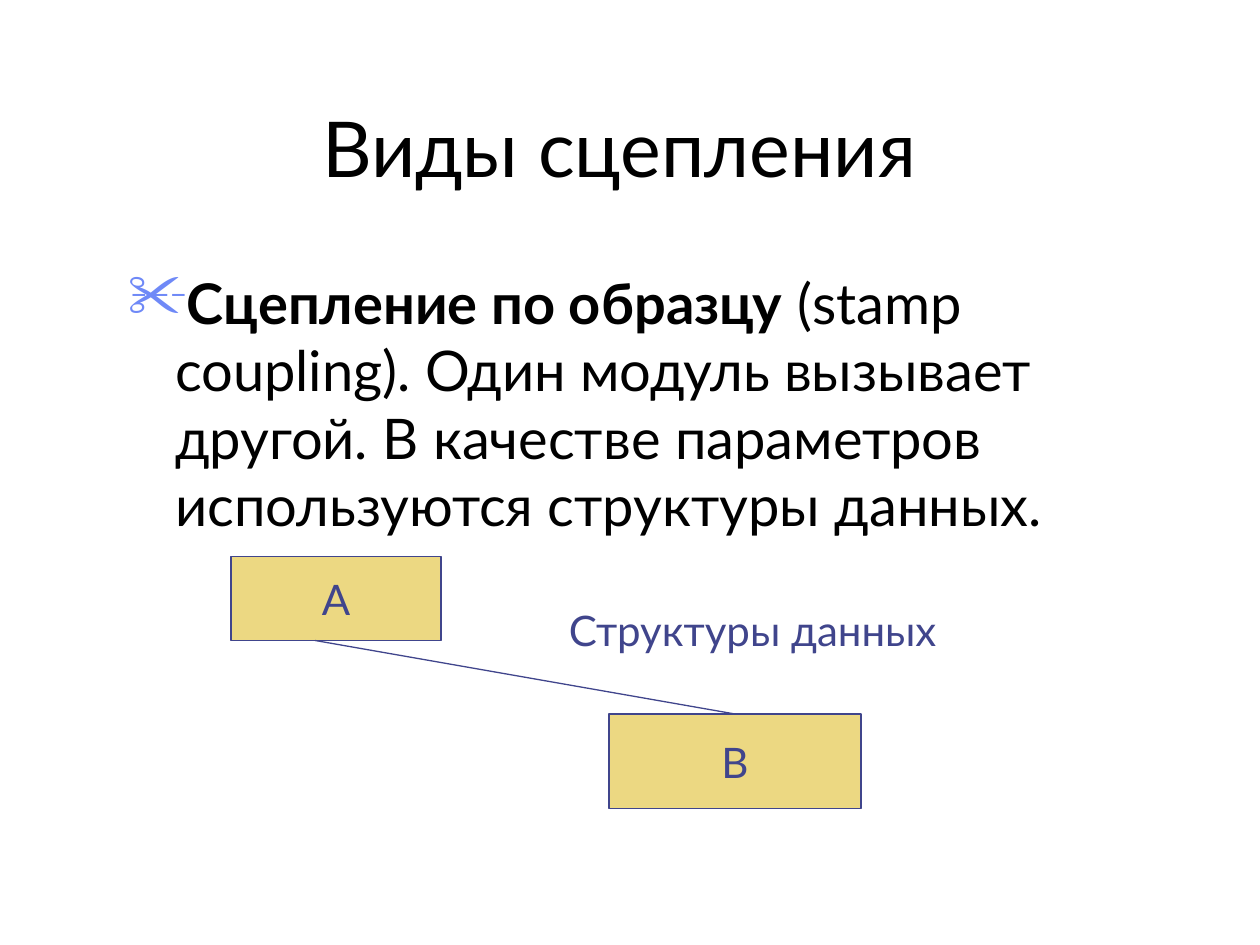
from lxml import etree
from pptx import Presentation
from pptx import util as u
from pptx.dml.color import RGBColor
from pptx.enum import shapes, text
from pptx.oxml.ns import qn

PX = 7620
FONT = "Lato"
COLORS = {"ink": "000000", "module": "ECD882", "diagram": "40458C", "bullet": "6F89F7"}

TITLE = ("Виды сцепления", (80, 40, 1020, 150))
DEFINITION = [
    ("Сцепление по образцу", True),
    (" (stamp coupling). Один модуль вызывает другой. "
     "В качестве параметров используются структуры данных.", False),
]
DEFINITION_AREA = (110, 250, 1020, 540)
MODULES = [("А", (220, 530, 200, 80)), ("В", (580, 680, 240, 90))]
CALL = (300, 610, 700, 680)
DATA_LABEL = ("Структуры данных", (530, 570, 400, 60))
BULLET = "✂"
BULLET_INDENT = 45


def emu(lengths):
    return [u.Emu(n * PX) for n in lengths]


def color(key):
    return RGBColor.from_string(COLORS[key])


def add_bullet(paragraph):
    props = paragraph._p.get_or_add_pPr()
    props.set("marL", str(BULLET_INDENT * PX))
    props.set("indent", str(-BULLET_INDENT * PX))
    bullet_color = etree.SubElement(props, qn("a:buClr"))
    etree.SubElement(bullet_color, qn("a:srgbClr"), val=COLORS["bullet"])
    etree.SubElement(props, qn("a:buSzPct"), val="110000")
    etree.SubElement(props, qn("a:buChar"), char=BULLET)


def write(holder, runs, size, ink="ink", align=text.PP_ALIGN.LEFT,
          anchor=text.MSO_ANCHOR.TOP, wrap=True, bullet=False):
    frame = holder.text_frame
    frame.word_wrap = wrap
    frame.vertical_anchor = anchor
    paragraph = frame.paragraphs[0]
    paragraph.alignment = align
    if bullet:
        add_bullet(paragraph)
    for words, bold in runs:
        run = paragraph.add_run()
        run.text = words
        run.font.name = FONT
        run.font.size = u.Pt(size)
        run.font.bold = bold
        run.font.color.rgb = color(ink)


def outline(part):
    part.line.color.rgb = color("diagram")
    part.line.width = u.Pt(0.75)


deck = Presentation()
deck.slide_width, deck.slide_height = emu((1200, 900))
slide = deck.slides.add_slide(deck.slide_layouts[6])

title, title_area = TITLE
write(slide.shapes.add_textbox(*emu(title_area)), [(title, False)], 44,
      align=text.PP_ALIGN.CENTER, anchor=text.MSO_ANCHOR.BOTTOM)
write(slide.shapes.add_textbox(*emu(DEFINITION_AREA)), DEFINITION, 32, bullet=True)

for name, area in MODULES:
    module = slide.shapes.add_shape(shapes.MSO_SHAPE.RECTANGLE, *emu(area))
    module.shadow.inherit = False
    module.fill.solid()
    module.fill.fore_color.rgb = color("module")
    outline(module)
    write(module, [(name, False)], 24, ink="diagram", align=text.PP_ALIGN.CENTER,
          anchor=text.MSO_ANCHOR.MIDDLE, wrap=False)

call = slide.shapes.add_connector(shapes.MSO_CONNECTOR.STRAIGHT, *emu(CALL))
outline(call)
etree.SubElement(call._element.spPr, qn("a:effectLst"))

label, label_area = DATA_LABEL
write(slide.shapes.add_textbox(*emu(label_area)), [(label, False)], 24, ink="diagram")

deck.save("out.pptx")
